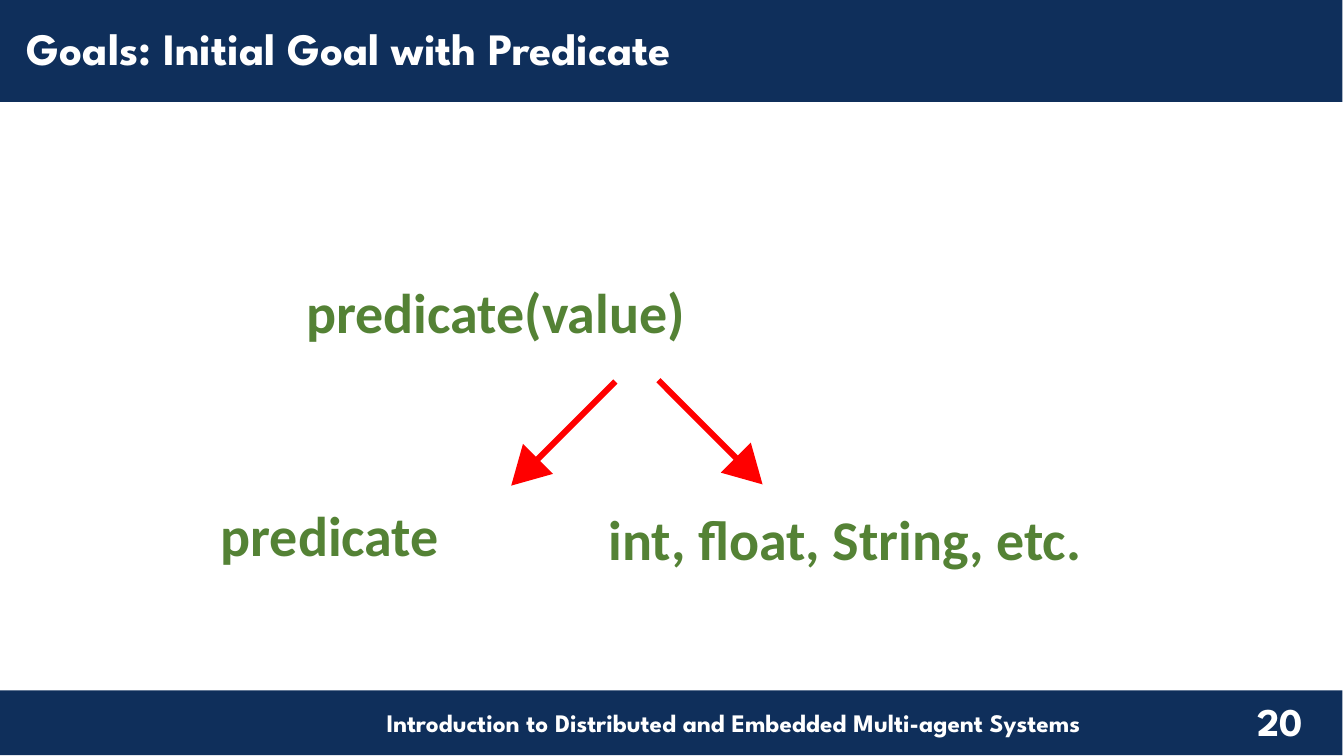
from pptx import Presentation
from pptx.dml.color import RGBColor
from pptx.enum.shapes import MSO_SHAPE
from pptx.enum.text import PP_ALIGN
from pptx.util import Cm, Pt

NAVY, WHITE, GREEN, RED = "0F2F5B", "FFFFFF", "548235", "FF0000"
SLIDE_WIDTH, SLIDE_HEIGHT = 33.87, 19.05
BAR_WIDTH = 33.83

# Places are left, top, width, height in centimetres
BARS = [(0, 17.4, BAR_WIDTH, 1.63), (0, 0, BAR_WIDTH, 2.57)]

FORMATS = {
    "footer": {"name": "League Spartan", "size": Pt(18), "bold": True},
    "number": {"name": "League Spartan", "size": Pt(28), "bold": True},
    "title": {"name": "League Spartan", "size": Pt(32), "bold": True},
    "term": {"name": "Calibri", "size": Pt(40), "bold": True},
}

TEXTS = [
    ("Introduction to Distributed and Embedded Multi-agent Systems",
     (5.79, 17.7, 25.4, 1.02), "footer", WHITE, PP_ALIGN.CENTER),
    ("20", (30.86, 17.45, 2.79, 1.6), "number", WHITE, PP_ALIGN.CENTER),
    ("Goals: Initial Goal with Predicate",
     (0.43, 0.41, 33.43, 1.6), "title", WHITE, PP_ALIGN.LEFT),
    ("predicate(value) ", (0.51, 6.86, 24.28, 1.96), "term", GREEN, PP_ALIGN.CENTER),
    ("predicate", (5.31, 12.5, 9.09, 3.53), "term", GREEN, PP_ALIGN.LEFT),
    ("int, float, String, etc.", (15.09, 12.6, 17.91, 1.88), "term", GREEN, PP_ALIGN.LEFT),
]

ARROW_SIZE = (3.71, 1.07)
ARROW_ADJUSTMENTS = (0.14, 0.89)
ARROWS = [((12.34, 10.39), 135), ((16.05, 10.36), 45)]


def color(hex_value):
    return RGBColor.from_string(hex_value)


def add_filled_shape(slide, kind, place, fill):
    shape = slide.shapes.add_shape(kind, *map(Cm, place))
    shape.shadow.inherit = False
    shape.fill.solid()
    shape.fill.fore_color.rgb = color(fill)
    shape.line.fill.background()
    return shape


def add_text(slide, text, place, format_name, text_color, alignment):
    frame = slide.shapes.add_textbox(*map(Cm, place)).text_frame
    frame.word_wrap = True
    paragraph = frame.paragraphs[0]
    paragraph.alignment = alignment
    run = paragraph.add_run()
    run.text = text
    for attribute, value in FORMATS[format_name].items():
        setattr(run.font, attribute, value)
    run.font.color.rgb = color(text_color)


def main():
    presentation = Presentation()
    presentation.slide_width = Cm(SLIDE_WIDTH)
    presentation.slide_height = Cm(SLIDE_HEIGHT)
    slide = presentation.slides.add_slide(presentation.slide_layouts[6])

    for place in BARS:
        add_filled_shape(slide, MSO_SHAPE.RECTANGLE, place, NAVY)
    for text in TEXTS:
        add_text(slide, *text)
    for position, rotation in ARROWS:
        arrow = add_filled_shape(slide, MSO_SHAPE.RIGHT_ARROW, position + ARROW_SIZE, RED)
        arrow.rotation = rotation
        for index, value in enumerate(ARROW_ADJUSTMENTS):
            arrow.adjustments[index] = value

    presentation.save("out.pptx")


if __name__ == "__main__":
    main()
